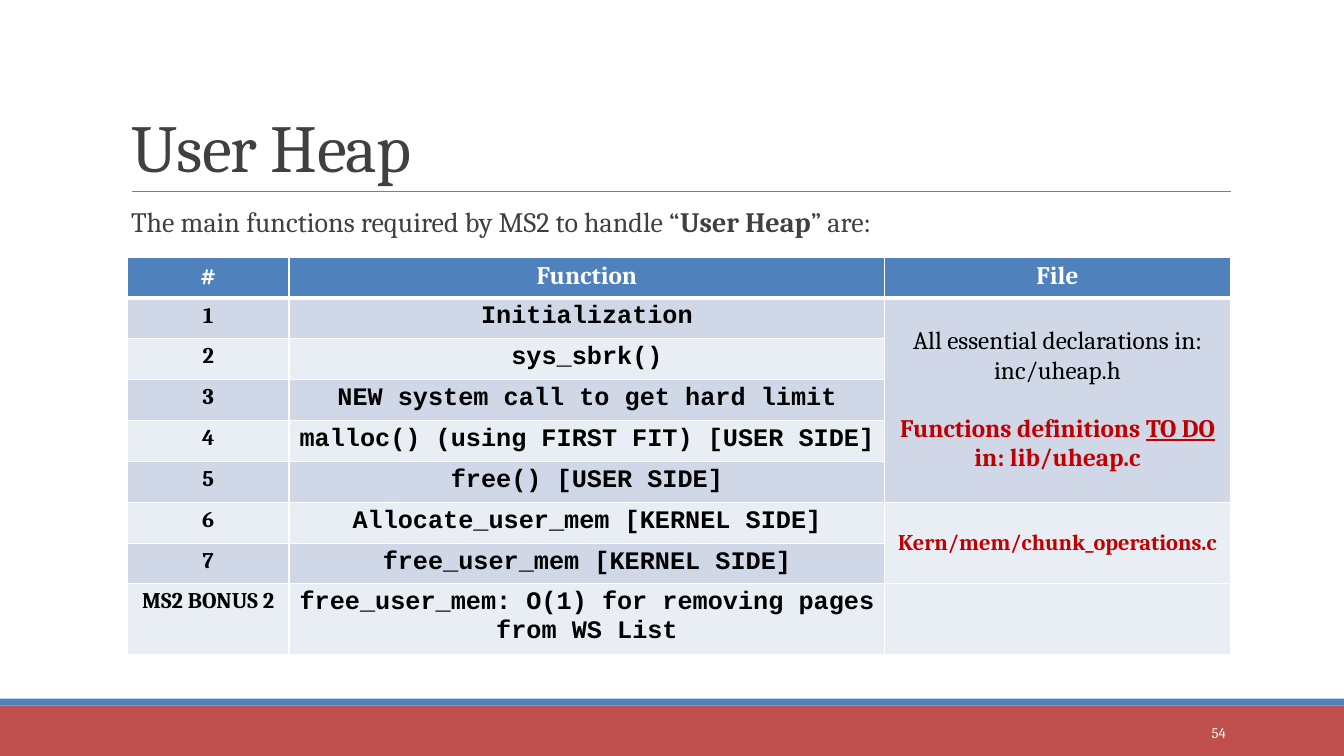
from collections import namedtuple
from dataclasses import dataclass

from lxml import etree
from pptx import Presentation
from pptx.dml.color import RGBColor
from pptx.enum.shapes import MSO_CONNECTOR, MSO_SHAPE
from pptx.enum.text import MSO_ANCHOR, PP_ALIGN
from pptx.oxml.ns import qn
from pptx.util import Pt

LEFT, MID, RIGHT = PP_ALIGN.LEFT, PP_ALIGN.CENTER, PP_ALIGN.RIGHT
TOP, CENTER, BOTTOM = MSO_ANCHOR.TOP, MSO_ANCHOR.MIDDLE, MSO_ANCHOR.BOTTOM
RECT, STRAIGHT = MSO_SHAPE.RECTANGLE, MSO_CONNECTOR.STRAIGHT

Box = namedtuple("Box", "x y w h")


@dataclass(frozen=True)
class Theme:
    serif: str = "Cambria"
    mono: str = "Courier New"
    white: str = "FFFFFF"
    black: str = "000000"
    ink: str = "404040"
    rule: str = "808080"
    blue: str = "4F81BD"
    brick: str = "C0504D"
    alert: str = "C00000"
    bands: tuple = ("D0D8E8", "E9EDF4")
    title: float = 48
    lead: float = 20
    body: float = 18
    small: float = 16
    page: float = 10.5


T = Theme()

COLS = (115.5, 425.5, 246.8)
ROWS = (29.2,) * 7 + (27.6, 48)
HEADS = ("#", "Function", "File")
TASKS = (
    ("1", "Initialization"),
    ("2", "sys_sbrk()"),
    ("3", "NEW system call to get hard limit"),
    ("4", "malloc() (using FIRST FIT) [USER SIDE]"),
    ("5", "free() [USER SIDE]"),
    ("6", "Allocate_user_mem [KERNEL SIDE]"),
    ("7", "free_user_mem [KERNEL SIDE]"),
    ("MS2 BONUS 2", "free_user_mem: O(1) for removing pages from WS List"),
)


def rgb(tone):
    return RGBColor.from_string(tone)


def add_run(para, text, size, tone, font=T.serif, bold=False, under=False):
    run = para.add_run()
    run.text = text
    face = run.font
    face.name, face.size, face.bold = font, Pt(size), bold
    face.color.rgb = rgb(tone)
    if under:
        face.underline = True
    return run


def add_text(slide, box, anchor=TOP, align=LEFT, space=1.0):
    """Add an empty text box without side insets and return its paragraph."""
    frame = slide.shapes.add_textbox(*map(Pt, box)).text_frame
    frame.word_wrap = True
    frame.vertical_anchor = anchor
    frame.margin_left = frame.margin_right = 0
    para = frame.paragraphs[0]
    para.alignment, para.line_spacing = align, space
    return para


def add_bar(slide, box, tone):
    bar = slide.shapes.add_shape(RECT, *map(Pt, box))
    bar.shadow.inherit = False
    bar.fill.solid()
    bar.fill.fore_color.rgb = rgb(tone)
    bar.line.fill.background()


def add_foot(slide, box, page):
    strip = 5
    add_bar(slide, Box(box.x, box.y + strip, box.w, box.h - strip), T.brick)
    add_bar(slide, Box(box.x, box.y, box.w, strip), T.blue)
    para = add_text(slide, Box(box.x + 780, box.y + 9.5, 95.5, 29),
                    CENTER, RIGHT)
    add_run(para, page, T.page, T.white)


def add_head(slide, box):
    """Add the title, the rule below it and the lead sentence."""
    tall = 114.5
    para = add_text(slide, Box(box.x, box.y, box.w, tall), BOTTOM, space=0.85)
    run = add_run(para, "User Heap", T.title, T.ink)
    run.font._element.set("spc", "-50")

    base = box.y + tall
    line = slide.shapes.add_connector(
        STRAIGHT, Pt(box.x + 0.5), Pt(base), Pt(box.x + box.w), Pt(base))
    line.line.color.rgb = rgb(T.rule)
    line.line.width = Pt(0.5)
    etree.SubElement(line._element.spPr, qn("a:effectLst"))

    para = add_text(slide, Box(box.x, base + 8.5, box.w, 32), space=0.9)
    add_run(para, "The main functions required by MS2 to handle “",
            T.lead, T.ink)
    add_run(para, "User Heap", T.lead, T.ink, bold=True)
    add_run(para, "” are:", T.lead, T.ink)


def style_cell(cell, tone, top=1, base=1):
    """Give a cell white borders and a plain fill."""
    props = cell._tc.get_or_add_tcPr()
    for side, width in (("L", 1), ("R", 1), ("T", top), ("B", base)):
        edge = etree.SubElement(props, qn("a:ln" + side), w=str(Pt(width)))
        fill = etree.SubElement(edge, qn("a:solidFill"))
        etree.SubElement(fill, qn("a:srgbClr"), val=T.white)
    cell.fill.solid()
    cell.fill.fore_color.rgb = rgb(tone)


def add_line(cell, text, size, tone, font=T.serif, bold=True):
    para = cell.text_frame.paragraphs[0]
    para.alignment = MID
    add_run(para, text, size, tone, font, bold)


def fill_files(grid):
    """Fill the two merged cells of the File column."""
    user, kernel = grid.cell(1, 2), grid.cell(6, 2)
    user.merge(grid.cell(5, 2))
    kernel.merge(grid.cell(7, 2))
    user.vertical_anchor = kernel.vertical_anchor = CENTER
    add_line(user, "All essential declarations in: inc/uheap.h",
             T.body, T.black, bold=False)
    para = user.text_frame.add_paragraph()
    para.alignment, para.space_before = MID, Pt(21)
    for text, under in (("Functions definitions ", False),
                        ("TO DO ", True), ("in: lib/uheap.c", False)):
        add_run(para, text, T.body, T.alert, bold=True, under=under)
    add_line(kernel, "Kern/mem/chunk_operations.c", T.small, T.alert)


def add_grid(slide, box):
    grid = slide.shapes.add_table(
        len(ROWS), len(COLS), *map(Pt, box)).table
    for col, width in zip(grid.columns, COLS):
        col.width = Pt(width)
    for row, height in zip(grid.rows, ROWS):
        row.height = Pt(height)

    for col, text in enumerate(HEADS):
        style_cell(grid.cell(0, col), T.blue, base=3)
        add_line(grid.cell(0, col), text, T.body, T.white)
    for row, (mark, task) in enumerate(TASKS, 1):
        # The bonus row shares the light band of the last kernel task.
        band = T.bands[(row - 1) % 2]
        for col in range(len(COLS)):
            style_cell(grid.cell(row, col), band, top=3 if row == 1 else 1)
        add_line(grid.cell(row, 0), mark, T.small, T.black)
        add_line(grid.cell(row, 1), task, T.body, T.black, T.mono)
    fill_files(grid)


def main():
    deck = Presentation()
    deck.slide_width, deck.slide_height = Pt(960), Pt(540)
    slide = deck.slides.add_slide(deck.slide_layouts[6])
    add_foot(slide, Box(0, 499, 960, 41), "54")
    add_head(slide, Box(93.6, 22.3, 785.4, 155))
    add_grid(slide, Box(91, 183.6, sum(COLS), sum(ROWS)))
    deck.save("out.pptx")


if __name__ == "__main__":
    main()
